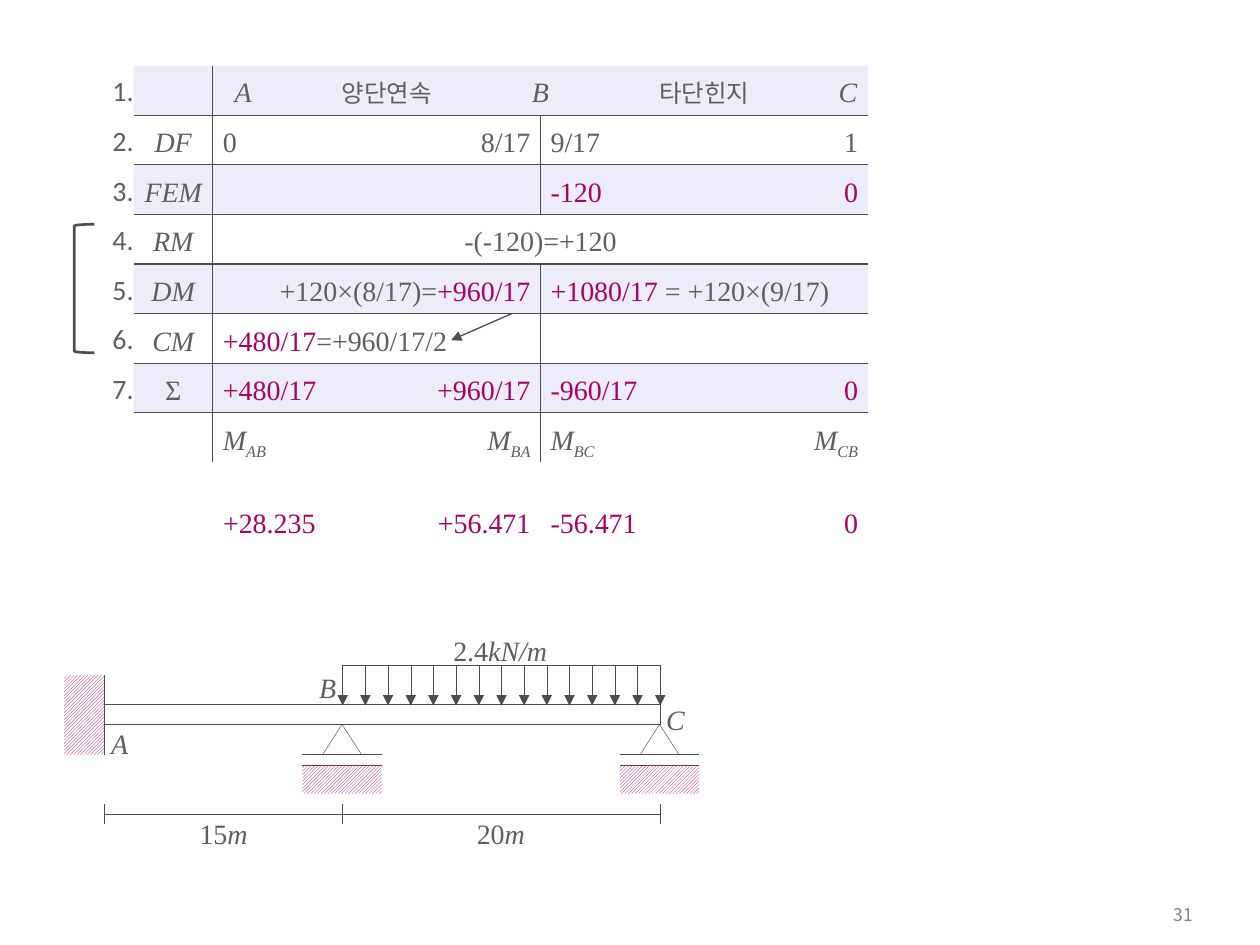
from dataclasses import dataclass

from lxml.etree import SubElement
from pptx import Presentation
from pptx.dml.color import RGBColor
from pptx.enum.dml import MSO_PATTERN
from pptx.enum.shapes import MSO_CONNECTOR, MSO_SHAPE
from pptx.enum.text import MSO_ANCHOR, PP_ALIGN
from pptx.oxml import parse_xml
from pptx.oxml.ns import nsdecls, qn
from pptx.util import Inches, Pt

LEFT, CENTER, RIGHT = PP_ALIGN.LEFT, PP_ALIGN.CENTER, PP_ALIGN.RIGHT


@dataclass(frozen=True)
class Theme:
    ink: str = "5F5F5F"
    accent: str = "A90165"
    rule: str = "4D4D4D"
    band: str = "D2D2F4"
    muted: str = "808080"
    white: str = "FFFFFF"
    serif: str = "Times New Roman"
    sans: str = "Calibri"
    korean: str = "Noto Sans CJK KR"
    body: int = 16
    korean_size: int = 14
    page_number: int = 10
    thin: float = 0.25
    grid: float = 0.75
    bold: float = 1.5


THEME = Theme()
PLAIN = {}
ITALIC = {"italic": True}
SUB = {"italic": True, "baseline": -25}
RED = {"color": THEME.accent}
NUMBER = {"font": THEME.sans}
HANGUL = {"font": THEME.korean, "size": THEME.korean_size}


def add_run(para, text, font=THEME.serif, size=THEME.body, color=THEME.ink,
            italic=False, baseline=0):
    span = para.add_run()
    span.text = text
    span.font.name, span.font.size, span.font.italic = font, Pt(size), italic
    span.font.color.rgb = RGBColor.from_string(color)
    props = span.font._element
    SubElement(props, qn("a:ea")).set("typeface", font)
    if baseline:
        props.set("baseline", str(baseline * 1000))


def fill_text(frame, runs, align):
    para = frame.paragraphs[0]
    para.alignment = align
    for text, style in runs:
        add_run(para, text, **style)
    return para


class SlideBuilder:
    def __init__(self, page, theme):
        self.page, self.theme = page, theme

    def text(self, x, y, w, h, runs, align=LEFT, anchor=MSO_ANCHOR.TOP):
        frame = self.page.shapes.add_textbox(Inches(x), Inches(y), Inches(w), Inches(h)).text_frame
        frame.margin_left = frame.margin_right = frame.margin_top = frame.margin_bottom = 0
        frame.word_wrap = False
        frame.vertical_anchor = anchor
        fill_text(frame, runs, align)

    def line(self, x1, y1, x2, y2, weight=THEME.thin, arrow=False):
        rule = self.page.shapes.add_connector(
            MSO_CONNECTOR.STRAIGHT, Inches(x1), Inches(y1), Inches(x2), Inches(y2))
        rule.line.width = Pt(weight)
        rule.line.color.rgb = RGBColor.from_string(self.theme.rule)
        if arrow:
            SubElement(rule.line._get_or_add_ln(), qn("a:tailEnd")).set("type", "triangle")
        SubElement(rule._element.spPr, qn("a:effectLst"))

    def outline(self, kind, x, y, w, h, weight=THEME.thin):
        box = self.page.shapes.add_shape(kind, Inches(x), Inches(y), Inches(w), Inches(h))
        box.shadow.inherit = False
        box.fill.background()
        box.line.width = Pt(weight)
        box.line.color.rgb = RGBColor.from_string(self.theme.rule)
        return box

    def hatch(self, x, y, w, h):
        box = self.outline(MSO_SHAPE.RECTANGLE, x, y, w, h)
        box.line.fill.background()
        box.fill.patterned()
        box.fill.pattern = MSO_PATTERN.LIGHT_UPWARD_DIAGONAL
        box.fill.fore_color.rgb = RGBColor.from_string(self.theme.accent)
        box.fill.back_color.rgb = RGBColor.from_string(self.theme.white)

    def support(self, x, top):
        """Hinge triangle on a hatched base, centred on x."""
        self.outline(MSO_SHAPE.ISOSCELES_TRIANGLE, x - 0.16, top, 0.31, 0.24)
        self.hatch(x - 0.32, top + 0.32, 0.63, 0.23)
        for y in (top + 0.24, top + 0.32):
            self.line(x - 0.32, y, x + 0.31, y)

    def table(self, x, y, widths, row_height, row_count):
        grid = self.page.shapes.add_table(
            row_count, len(widths), Inches(x), Inches(y),
            Inches(sum(widths)), Inches(row_height * row_count)).table
        grid.first_row = grid.horz_banding = False
        grid._tbl.tblPr.find(qn("a:tableStyleId")).text = "{2D5ABB26-0587-4C30-8999-92F81FD0307C}"
        for column, width in zip(grid.columns, widths):
            column.width = Inches(width)
        for row in grid.rows:
            row.height = Inches(row_height)
        return grid

    def style_cell(self, cell, sides, banded):
        """Set the fill and the ruled sides (letters of L, R, T, B)."""
        cell.margin_left = cell.margin_right = cell.margin_top = cell.margin_bottom = 0
        props = cell._tc.get_or_add_tcPr()
        if banded:
            cell.fill.solid()
            cell.fill.fore_color.rgb = RGBColor.from_string(self.theme.band)
            SubElement(props.find(".//" + qn("a:srgbClr")), qn("a:alpha")).set("val", "40000")
        else:
            cell.fill.background()
        ruled = f'<a:solidFill><a:srgbClr val="{self.theme.rule}"/></a:solidFill>'
        for index, side in enumerate("LRTB"):
            paint = ruled if side in sides else "<a:noFill/>"
            props.insert(index, parse_xml(
                f'<a:ln{side} {nsdecls("a")} w="{Pt(self.theme.grid)}">{paint}</a:ln{side}>'))


# Each row: row label, then (first column, last column, alignment, runs)
HEADER = [("\tA\t", ITALIC), ("양단연속", HANGUL), ("\tB\t", ITALIC),
          ("타단힌지", HANGUL), ("\tC", ITALIC)]
HEADER_TABS = (0.16, 1.3, 2.52, 3.82, 4.96)
ROWS = [
    (None, [(2, 5, LEFT, HEADER)]),
    (("DF", ITALIC), [(2, 2, LEFT, [("0", PLAIN)]), (3, 3, RIGHT, [("8/17", PLAIN)]),
                      (4, 4, LEFT, [("9/17", PLAIN)]), (5, 5, RIGHT, [("1", PLAIN)])]),
    (("FEM", ITALIC), [(4, 4, LEFT, [("-120", RED)]), (5, 5, RIGHT, [("0", RED)])]),
    (("RM", ITALIC), [(2, 5, CENTER, [("-(-120)=+120", PLAIN)])]),
    (("DM", ITALIC), [(2, 3, RIGHT, [("+120×(8/17)=", PLAIN), ("+960/17", RED)]),
                      (4, 5, LEFT, [("+1080/17", RED), (" = +120×(9/17)", PLAIN)])]),
    (("CM", ITALIC), [(2, 3, LEFT, [("+480/17", RED), ("=+960/17/2", PLAIN)])]),
    (("Ʃ", PLAIN), [(2, 2, LEFT, [("+480/17", RED)]), (3, 3, RIGHT, [("+960/17", RED)]),
                    (4, 4, LEFT, [("-960/17", RED)]), (5, 5, RIGHT, [("0", RED)])]),
    (None, [(column, column, align, [("M", ITALIC), (ends, SUB)]) for column, align, ends in
            ((2, LEFT, "AB"), (3, RIGHT, "BA"), (4, LEFT, "BC"), (5, RIGHT, "CB"))]),
]


def build_moment_table(slide):
    last_row = len(ROWS) - 1
    grid = slide.table(0.75, 0.52, (0.31, 0.63, 1.3, 1.3, 1.3, 1.3), 0.394, len(ROWS))
    for row, (label, entries) in enumerate(ROWS):
        undivided = row in (0, 3)
        # Rules and bands
        for column in range(6):
            sides = "L" if column == 2 or (column == 4 and not undivided) else ""
            sides += "R" if column == 1 or (column == 3 and not undivided) else ""
            if column:
                sides += ("T" if row else "") + ("B" if row < last_row else "")
            slide.style_cell(grid.cell(row, column), sides, column > 0 and row % 2 == 0)
        # Row number, row label and values
        if row < last_row:
            number = grid.cell(row, 0)
            number.vertical_anchor = MSO_ANCHOR.MIDDLE
            number.margin_top = Inches(0.03)
            fill_text(number.text_frame, [(f"{row + 1}.", NUMBER)], RIGHT)
        if label:
            entries = [(1, 1, CENTER, [label])] + entries
        for first, last, align, runs in entries:
            cell = grid.cell(row, first)
            if last > first:
                cell.merge(grid.cell(row, last))
            cell.margin_top = Inches(0.1 if row else 0.07)
            if first > 1:
                cell.margin_left = cell.margin_right = Inches(0.08)
            para = fill_text(cell.text_frame, runs, align)
            if runs is HEADER:
                tabs = SubElement(para._p.get_or_add_pPr(), qn("a:tabLst"))
                for stop in HEADER_TABS:
                    tab = SubElement(tabs, qn("a:tab"))
                    tab.set("pos", str(Inches(stop)))
                    tab.set("algn", "ctr")
    # Repeated steps and the carry-over arrow
    slide.outline(MSO_SHAPE.LEFT_BRACKET, 0.59, 1.78, 0.16, 1.02, THEME.bold)
    slide.line(4.06, 2.49, 3.58, 2.7, THEME.grid, arrow=True)
    # Final moments
    for x, value, align in ((1.77, "+28.235", LEFT), (3.03, "+56.471", RIGHT),
                            (4.37, "-56.471", LEFT), (5.63, "0", RIGHT)):
        slide.text(x, 4.01, 1.18, 0.27, [(value, RED)], align)


def build_beam(slide):
    a, b, c = 0.83, 2.72, 5.24
    top, load_top, dimension = 5.59, 5.28, 6.46
    # Beam, wall and supports
    slide.outline(MSO_SHAPE.RECTANGLE, a, top, c - a, 0.16)
    slide.hatch(a - 0.32, 5.36, 0.32, 0.63)
    slide.line(a, 5.36, a, 5.99)
    for x in (b, c):
        slide.support(x, top + 0.16)
    # Uniform load
    slide.line(b, load_top, c, load_top)
    for index in range(15):
        x = b + index * (c - b) / 14
        slide.line(x, load_top, x, 5.6, arrow=True)
    # Dimensions
    slide.line(a, dimension, c, dimension)
    for x in (a, b, c):
        slide.line(x, dimension - 0.08, x, dimension + 0.08)
    # Labels
    for x, y, w, runs in (
            (3.5, 5.03, 0.94, [("2.4", PLAIN), ("kN/m", ITALIC)]),
            (2.48, 5.32, 0.24, [("B", ITALIC)]),
            (a, 5.77, 0.24, [("A", ITALIC)]),
            (c, 5.58, 0.24, [("C", ITALIC)]),
            (1.54, 6.48, 0.47, [("15", PLAIN), ("m", ITALIC)]),
            (3.74, 6.48, 0.47, [("20", PLAIN), ("m", ITALIC)])):
        slide.text(x, y, w, 0.27, runs, CENTER)


def main():
    deck = Presentation()
    deck.slide_width, deck.slide_height = Inches(10), Inches(7.5)
    slide = SlideBuilder(deck.slides.add_slide(deck.slide_layouts[6]), THEME)
    build_moment_table(slide)
    build_beam(slide)
    # Page number
    style = {"font": THEME.korean, "size": THEME.page_number, "color": THEME.muted}
    slide.text(8.86, 7.09, 0.61, 0.33, [("31", style)], RIGHT, MSO_ANCHOR.MIDDLE)
    deck.save("out.pptx")


if __name__ == "__main__":
    main()
